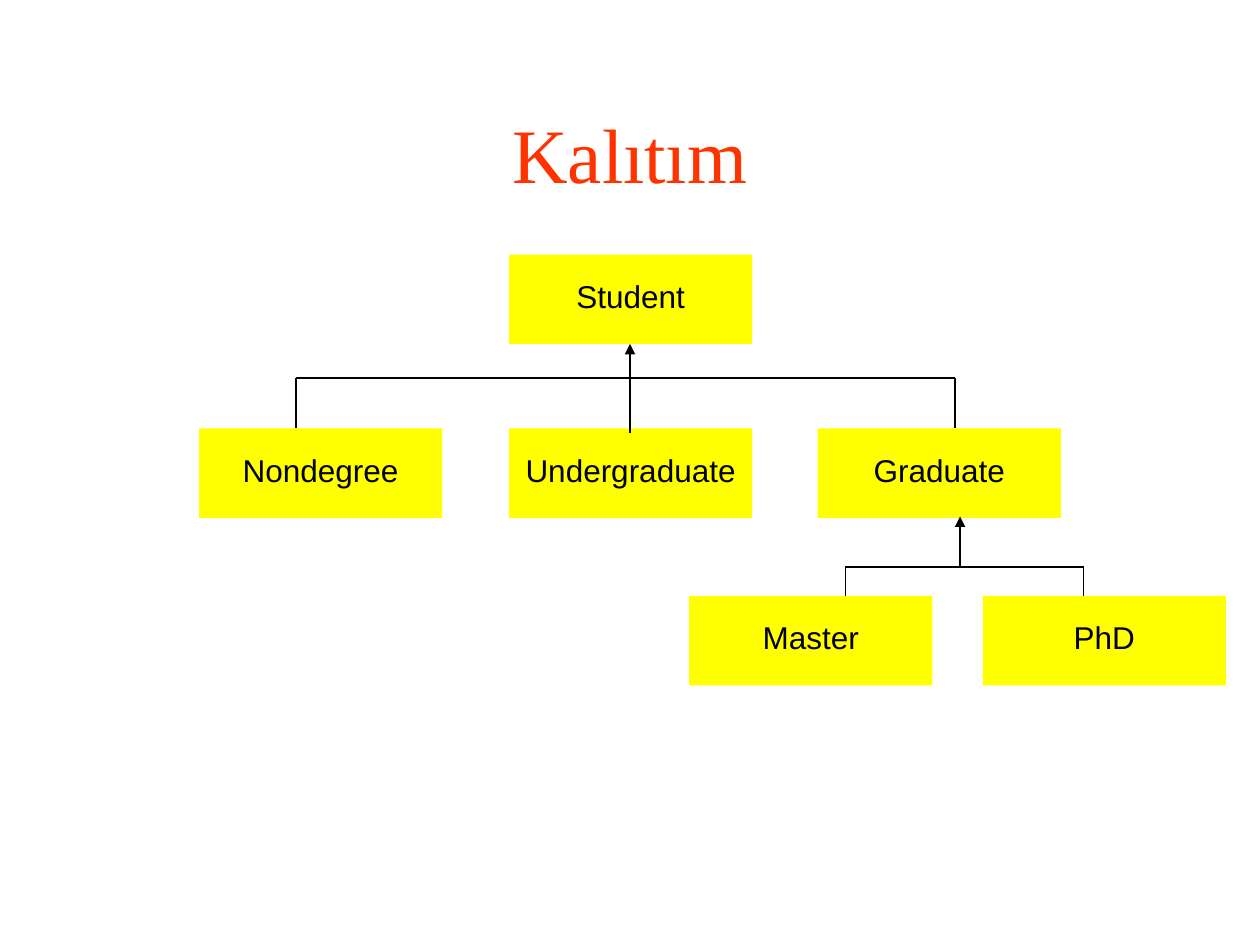
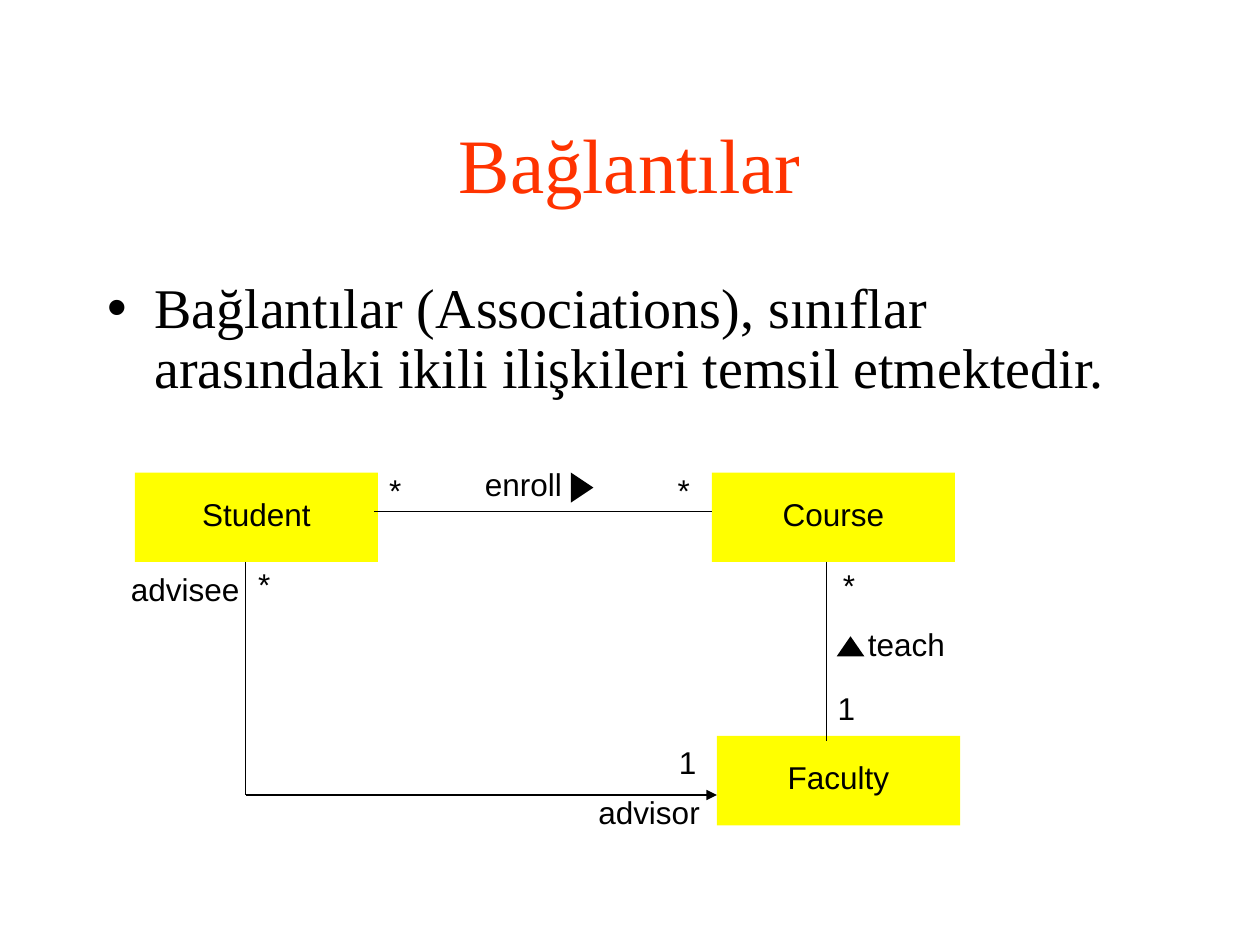
from dataclasses import dataclass

from lxml.etree import SubElement
from pptx import Presentation
from pptx.dml.color import RGBColor
from pptx.enum.shapes import MSO_CONNECTOR, MSO_SHAPE
from pptx.enum.text import MSO_ANCHOR, MSO_AUTO_SIZE, PP_ALIGN
from pptx.oxml.ns import qn
from pptx.slide import Slide
from pptx.text.text import TextFrame
from pptx.util import Inches, Pt

ORANGE = RGBColor(0xFF, 0x33, 0x00)
YELLOW = RGBColor(0xFF, 0xFF, 0x00)
BLACK = RGBColor(0x00, 0x00, 0x00)
HEADING_FONT = "Times New Roman"
DIAGRAM_FONT = "Arial"

TITLE_AND_BODY = 1
TITLE_ONLY = 5
MARGIN = 0.75
CONTENT_WIDTH = 8.5
TITLE_TOP = 0.67
CLASS_WIDTH = 1.93
CLASS_HEIGHT = 0.71
LABEL_HEIGHT = 0.34


@dataclass(frozen=True)
class ClassBox:
    name: str
    left: float
    top: float


@dataclass(frozen=True)
class Label:
    text: str
    left: float
    top: float
    width: float


@dataclass(frozen=True)
class Line:
    start: tuple[float, float]
    end: tuple[float, float]
    arrow: bool = False


@dataclass(frozen=True)
class Pointer:
    left: float
    top: float
    width: float
    height: float
    rotation: int = 0


INHERITANCE_CLASSES = [
    ClassBox("Student", 4.04, 2.02),
    ClassBox("Nondegree", 1.58, 3.4),
    ClassBox("Undergraduate", 4.04, 3.4),
    ClassBox("Graduate", 6.49, 3.4),
    ClassBox("Master", 5.47, 4.73),
    ClassBox("PhD", 7.8, 4.73),
]
INHERITANCE_LINES = [
    Line((2.35, 3), (7.58, 3)),
    Line((2.35, 3), (2.35, 3.4)),
    Line((5, 3), (5, 3.44)),
    Line((7.58, 3), (7.58, 3.4)),
    Line((5, 3), (5, 2.73), arrow=True),
    Line((7.62, 4.5), (7.62, 4.1), arrow=True),
    Line((6.71, 4.5), (8.6, 4.5)),
    Line((6.71, 4.5), (6.71, 4.73)),
    Line((8.6, 4.5), (8.6, 4.73)),
]

ASSOCIATION_CLASSES = [
    ClassBox("Student", 1.07, 3.75),
    ClassBox("Course", 5.65, 3.75),
    ClassBox("Faculty", 5.69, 5.84),
]
ASSOCIATION_LINES = [
    Line((2.97, 4.06), (5.65, 4.06)),
    Line((6.56, 4.46), (6.56, 5.88)),
    Line((1.95, 4.46), (1.95, 6.31)),
    Line((1.95, 6.31), (5.69, 6.31), arrow=True),
]
ASSOCIATION_LABELS = [
    Label("enroll", 3.75, 3.7, 0.88),
    Label("*", 2.99, 3.75, 0.29),
    Label("*", 5.28, 3.75, 0.29),
    Label("1", 6.55, 5.48, 0.35),
    Label("*", 6.59, 4.5, 0.29),
    Label("teach", 6.79, 4.97, 0.83),
    Label("*", 1.95, 4.49, 0.29),
    Label("1", 5.29, 5.91, 0.35),
    Label("advisee", 0.94, 4.53, 1.08),
    Label("advisor", 4.65, 6.3, 1.03),
]
READING_POINTERS = [
    Pointer(4.5, 3.78, 0.24, 0.18, rotation=90),
    Pointer(6.64, 5.05, 0.22, 0.16),
]


def format_text(frame: TextFrame, font: str, size: int, color: RGBColor,
                align: PP_ALIGN, spacing: float = 1.0) -> None:
    for para in frame.paragraphs:
        para.alignment = align
        para.line_spacing = spacing
        para.space_before = Pt(0)
        for span in para.runs:
            span.font.name = font
            span.font.size = Pt(size)
            span.font.color.rgb = color


def fill_placeholder(page: Slide, index: int, text: str, top: float, height: float) -> TextFrame:
    box = page.placeholders[index]
    box.left, box.top = Inches(MARGIN), Inches(top)
    box.width, box.height = Inches(CONTENT_WIDTH), Inches(height)
    frame = box.text_frame
    frame.text = text
    frame.auto_size = MSO_AUTO_SIZE.NONE
    return frame


def set_title(page: Slide, text: str, height: float) -> None:
    frame = fill_placeholder(page, 0, text, TITLE_TOP, height)
    frame.vertical_anchor = MSO_ANCHOR.MIDDLE
    format_text(frame, HEADING_FONT, 44, ORANGE, PP_ALIGN.CENTER)


def set_body(page: Slide, text: str, top: float, height: float) -> None:
    frame = fill_placeholder(page, 1, text, top, height)
    format_text(frame, HEADING_FONT, 32, BLACK, PP_ALIGN.LEFT, 0.9)


def draw_class(page: Slide, item: ClassBox) -> None:
    box = page.shapes.add_shape(MSO_SHAPE.RECTANGLE, Inches(item.left), Inches(item.top),
                                Inches(CLASS_WIDTH), Inches(CLASS_HEIGHT))
    box.shadow.inherit = False
    box.fill.solid()
    box.fill.fore_color.rgb = YELLOW
    box.line.fill.background()
    frame = box.text_frame
    frame.text = item.name
    frame.word_wrap = False
    frame.vertical_anchor = MSO_ANCHOR.MIDDLE
    format_text(frame, DIAGRAM_FONT, 18, BLACK, PP_ALIGN.CENTER, 0.8)


def draw_line(page: Slide, item: Line) -> None:
    points = [Inches(value) for value in (*item.start, *item.end)]
    connector = page.shapes.add_connector(MSO_CONNECTOR.STRAIGHT, *points)
    connector.line.color.rgb = BLACK
    connector.line.width = Pt(0.75)
    if item.arrow:
        SubElement(connector.line._get_or_add_ln(), qn("a:tailEnd"), type="triangle")
    SubElement(connector._element.spPr, qn("a:effectLst"))


def draw_label(page: Slide, item: Label) -> None:
    box = page.shapes.add_textbox(Inches(item.left), Inches(item.top),
                                  Inches(item.width), Inches(LABEL_HEIGHT))
    frame = box.text_frame
    frame.text = item.text
    frame.word_wrap = False
    frame.auto_size = MSO_AUTO_SIZE.SHAPE_TO_FIT_TEXT
    format_text(frame, DIAGRAM_FONT, 18, BLACK, PP_ALIGN.LEFT, 0.8)


def draw_pointer(page: Slide, item: Pointer) -> None:
    triangle = page.shapes.add_shape(MSO_SHAPE.ISOSCELES_TRIANGLE, Inches(item.left),
                                     Inches(item.top), Inches(item.width), Inches(item.height))
    triangle.shadow.inherit = False
    triangle.rotation = item.rotation
    triangle.fill.solid()
    triangle.fill.fore_color.rgb = BLACK
    triangle.line.fill.background()


def draw_diagram(page: Slide, classes: list[ClassBox], lines: list[Line]) -> None:
    for item in classes:
        draw_class(page, item)
    for line in lines:
        draw_line(page, line)


def main() -> None:
    deck = Presentation()
    deck.slide_width, deck.slide_height = Inches(10), Inches(7.5)

    inheritance = deck.slides.add_slide(deck.slide_layouts[TITLE_ONLY])
    set_title(inheritance, "Kalıtım", 1.08)
    draw_diagram(inheritance, INHERITANCE_CLASSES, INHERITANCE_LINES)

    associations = deck.slides.add_slide(deck.slide_layouts[TITLE_AND_BODY])
    set_title(associations, "Bağlantılar", 1.25)
    set_body(associations,
             "Bağlantılar (Associations), sınıflar arasındaki ikili ilişkileri temsil etmektedir.",
             2.17, 1.14)
    draw_diagram(associations, ASSOCIATION_CLASSES, ASSOCIATION_LINES)
    for label in ASSOCIATION_LABELS:
        draw_label(associations, label)
    for pointer in READING_POINTERS:
        draw_pointer(associations, pointer)

    deck.save("out.pptx")


if __name__ == "__main__":
    main()
